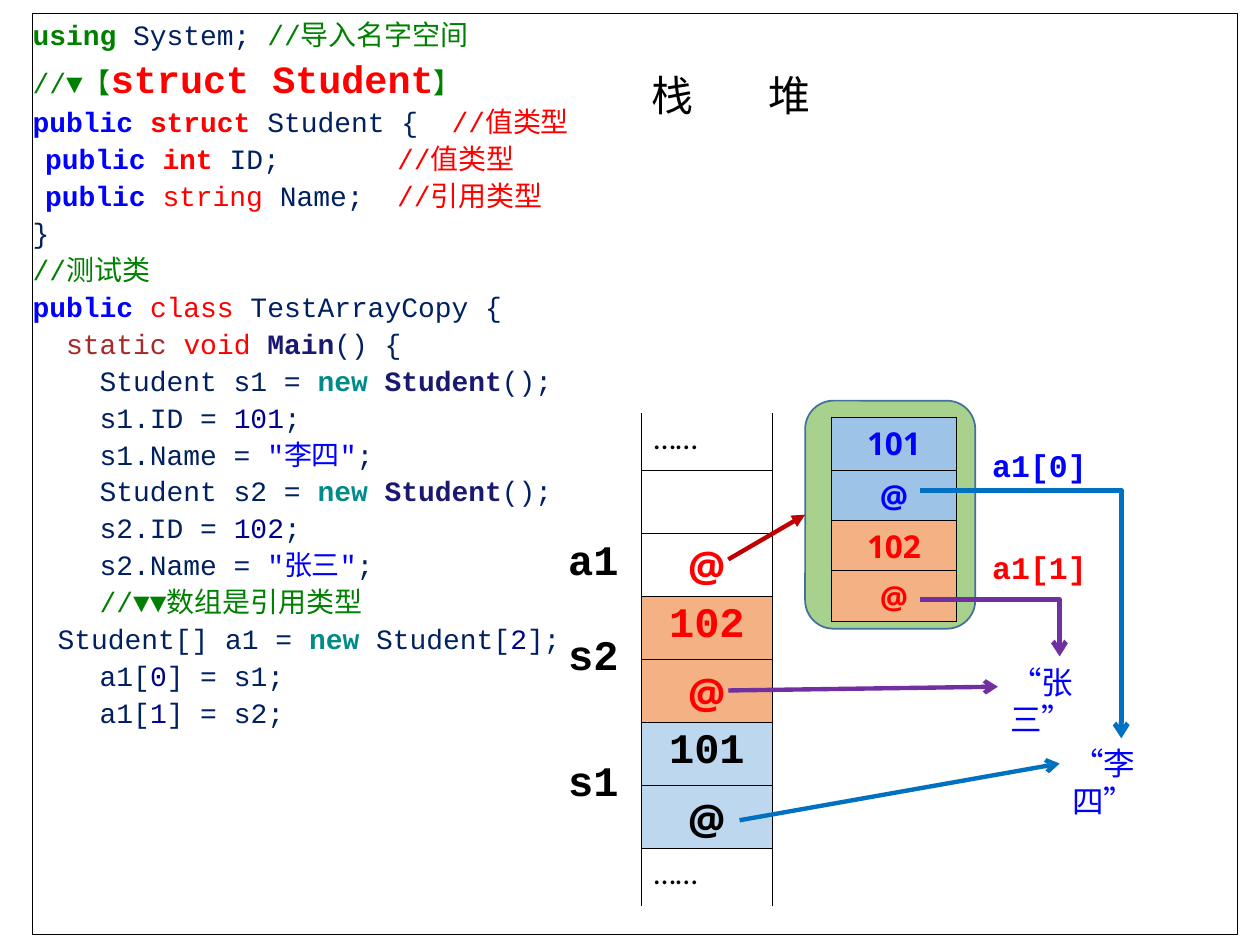
from copy import deepcopy
from dataclasses import dataclass, field

from lxml import etree
from pptx import Presentation
from pptx.dml.color import RGBColor
from pptx.enum import shapes, text
from pptx.oxml import ns
from pptx.util import Inches, Pt


@dataclass(frozen=True)
class Theme:
    mono: str = "Courier New"
    sans: str = "Open Sans"
    body: str = "Calibri"
    cjk: str = "Noto Sans CJK SC"
    code: int = 16
    small: int = 18
    banner: int = 22
    large: int = 24
    black: str = "000000"
    red: str = "FF0000"
    blue: str = "0000FF"
    orange_fill: str = "F4B183"
    stack_fill: str = "BDD7EE"
    heap_fill: str = "9DC3E6"
    frame_fill: str = "A9D18E"
    frame_line: str = "41719C"
    blue_arrow: str = "0070C0"
    purple_arrow: str = "7030A0"
    red_arrow: str = "C00000"
    syntax: dict = field(default_factory=lambda: {
        "plain": ("002060", False), "using": ("008000", True),
        "comment": ("008000", False), "banner": ("FF0000", True),
        "keyword": ("0000FF", True), "type": ("FF0000", True),
        "red": ("FF0000", False), "static": ("A52A2A", False),
        "name": ("191970", True), "new": ("008B8B", True),
        "number": ("00008B", False), "string": ("0000FF", False)})


THEME = Theme()


def create_student(variable, number, name):
    return [
        [(f"    Student {variable} = ", "plain"), ("new ", "new"),
         ("Student", "name"), ("();", "plain")],
        [(f"    {variable}.ID = ", "plain"), (number, "number"), (";", "plain")],
        [(f"    {variable}.Name = ", "plain"), (f'"{name}"', "string"), (";", "plain")],
    ]


def assign_element(index, variable):
    return [("    a1[", "plain"), (index, "number"), (f"] = {variable};", "plain")]


CODE = [
    [("using", "using"), (" System; ", "plain"), ("//导入名字空间", "comment")],
    [("//▼【", "comment"), ("struct Student", "banner"), ("】", "comment")],
    [("public ", "keyword"), ("struct", "type"), (" Student {  ", "plain"),
     ("//值类型", "red")],
    [("  ", "red"), ("public ", "keyword"), ("int", "type"),
     (" ID;       ", "plain"), ("//值类型", "red")],
    [("  ", "red"), ("public ", "keyword"), ("string", "red"),
     (" Name;  ", "plain"), ("//引用类型", "red")],
    [("}", "plain")],
    [("//测试类", "comment")],
    [("public ", "keyword"), ("class", "red"), (" TestArrayCopy {", "plain")],
    [("  ", "plain"), ("static ", "static"), ("void ", "red"), ("Main", "name"),
     ("() {", "plain")],
    *create_student("s1", "101", "李四"),
    *create_student("s2", "102", "张三"),
    [("    ", "plain"), ("//▼▼数组是引用类型", "comment")],
    [("    ", "comment"), ("Student[] a1 = ", "plain"), ("new", "new"),
     (" Student[", "plain"), ("2", "number"), ("];", "plain")],
    assign_element("0", "s1"),
    assign_element("1", "s2"),
]


def rgb(value):
    return RGBColor.from_string(value)


def write(paragraph, content, size=THEME.small, font=THEME.body,
          color=THEME.black, bold=False):
    run = paragraph.add_run()
    run.text = content
    run.font.size, run.font.name, run.font.bold = Pt(size), font, bold
    run.font.color.rgb = rgb(color)
    etree.SubElement(run._r.rPr, ns.qn("a:ea"), typeface=THEME.cjk)
    return run


def add_panel(slide, kind, box, line, width, fill=None):
    panel = slide.shapes.add_shape(kind, *map(Inches, box))
    panel.shadow.inherit = False
    panel.line.color.rgb, panel.line.width = rgb(line), Pt(width)
    if fill:
        panel.fill.solid()
        panel.fill.fore_color.rgb = rgb(fill)
    else:
        panel.fill.background()
    return panel


def add_code(slide):
    panel = add_panel(slide, shapes.MSO_SHAPE.RECTANGLE,
                      (0.26, 0.11, 9.56, 7.31), THEME.black, 0.75)
    frame = panel.text_frame
    frame.margin_left = frame.margin_right = frame.margin_top = frame.margin_bottom = 0
    frame.vertical_anchor = text.MSO_ANCHOR.TOP
    listing = frame.paragraphs[0]
    listing.alignment, listing.line_spacing = text.PP_ALIGN.LEFT, 1.1
    for number, line in enumerate(CODE):
        if number:
            listing.add_line_break()
            listing._p[-1].append(deepcopy(last._r.rPr))
        for token, role in line:
            color, bold = THEME.syntax[role]
            size = THEME.banner if role == "banner" else THEME.code
            last = write(listing, token, size=size, font=THEME.mono,
                         color=color, bold=bold)


def add_label(slide, box, content, tab=None, **style):
    label = slide.shapes.add_textbox(*map(Inches, box))
    label.text_frame.word_wrap = True
    paragraph = label.text_frame.paragraphs[0]
    if tab:
        stops = etree.SubElement(paragraph._p.get_or_add_pPr(), ns.qn("a:tabLst"))
        etree.SubElement(stops, ns.qn("a:tab"), pos=str(Inches(tab)), algn="l")
    write(paragraph, content, **style)
    return label


def add_grid(slide, left, top, widths, heights):
    grid = slide.shapes.add_table(
        len(heights), len(widths), Inches(left), Inches(top),
        Inches(sum(widths)), Inches(sum(heights))).table
    grid.first_row = grid.horz_banding = False
    for column, width in zip(grid.columns, widths):
        column.width = Inches(width)
    for row, height in zip(grid.rows, heights):
        row.height = Inches(height)
    return grid


def fill_cell(cell, content="", sides="", fill=None, centered=True, middle=False, **style):
    properties = cell._tc.get_or_add_tcPr()
    for side in "LRTB":
        border = etree.SubElement(properties, ns.qn(f"a:ln{side}"), w=str(Pt(0.45)))
        if side in sides:
            paint = etree.SubElement(border, ns.qn("a:solidFill"))
            etree.SubElement(paint, ns.qn("a:srgbClr"), val=THEME.black)
        else:
            etree.SubElement(border, ns.qn("a:noFill"))
    if fill:
        cell.fill.solid()
        cell.fill.fore_color.rgb = rgb(fill)
    else:
        cell.fill.background()
    if middle:
        cell.vertical_anchor = text.MSO_ANCHOR.MIDDLE
    if style.get("font") == THEME.sans:
        cell.margin_top, cell.margin_bottom = Inches(0.04), 0
    if content:
        paragraph = cell.text_frame.paragraphs[0]
        if centered:
            paragraph.alignment = text.PP_ALIGN.CENTER
        write(paragraph, content, **style)


def add_stack(slide):
    grid = add_grid(slide, 4.33, 3.28, (0.76, 1.04), [0.45] + [0.5] * 6 + [0.46])
    strong = dict(size=THEME.large, bold=True)
    slots = [("", None, THEME.black, THEME.mono), ("@", None, THEME.red, THEME.sans),
             ("102", THEME.orange_fill, THEME.red, THEME.mono),
             ("@", THEME.orange_fill, THEME.red, THEME.sans),
             ("101", THEME.stack_fill, THEME.black, THEME.mono),
             ("@", THEME.stack_fill, THEME.black, THEME.sans)]
    for row, (content, fill, color, font) in enumerate(slots, 1):
        fill_cell(grid.cell(row, 1), content, "LRTB", fill, color=color, font=font, **strong)
    for row, sides in ((0, "LRB"), (7, "LRT")):
        fill_cell(grid.cell(row, 1), "……", sides, centered=False)
    names = {2: "a1", 3: "s2", 5: "s1"}
    for row in range(8):
        fill_cell(grid.cell(row, 0), names.get(row, ""), "R", middle=True,
                  font=THEME.mono, **strong)
    for row in (3, 5):
        grid.cell(row, 0).merge(grid.cell(row + 1, 0))


def add_heap(slide):
    grid = add_grid(slide, 6.6, 3.31, (0.99, 1.32), (0.42, 0.4, 0.4, 0.4))
    elements = [("101", "a1[0]", THEME.heap_fill, THEME.blue),
                ("102", "a1[1]", THEME.orange_fill, THEME.red)]
    for index, (number, name, fill, color) in enumerate(elements):
        for row, content, label in ((2 * index, number, name), (2 * index + 1, "@", "")):
            fill_cell(grid.cell(row, 0), content, "LRTB", fill,
                      font=THEME.sans, color=color, bold=True)
            fill_cell(grid.cell(row, 1), label, "L", middle=True,
                      font=THEME.mono, color=color, bold=True)
        grid.cell(2 * index, 1).merge(grid.cell(2 * index + 1, 1))


def add_arrow(slide, start, end, color, width=2.5, head="arrow", bent=False, target=None):
    kind = shapes.MSO_CONNECTOR.ELBOW if bent else shapes.MSO_CONNECTOR.STRAIGHT
    arrow = slide.shapes.add_connector(kind, *map(Inches, start + end))
    arrow.line.color.rgb, arrow.line.width = rgb(color), Pt(width)
    etree.SubElement(arrow.line._get_or_add_ln(), ns.qn("a:tailEnd"), type=head)
    etree.SubElement(arrow._element.spPr, ns.qn("a:effectLst"))
    if bent:
        guides = arrow._element.spPr.find(".//" + ns.qn("a:avLst"))
        etree.SubElement(guides, ns.qn("a:gd"), name="adj1", fmla="val 99900")
    if target is not None:
        arrow.end_connect(target, 1)


def main():
    deck = Presentation()
    deck.slide_width, deck.slide_height = Inches(10), Inches(7.5)
    slide = deck.slides.add_slide(deck.slide_layouts[6])
    add_code(slide)
    add_label(slide, (5.07, 0.5, 3.03, 0.5), "栈\t堆", tab=0.93,
              size=THEME.large, font=THEME.cjk)
    add_stack(slide)
    li_si = add_label(slide, (8.41, 5.86, 0.98, 0.4), "“李四”", color=THEME.blue)
    add_label(slide, (7.92, 5.21, 0.98, 0.4), "“张三”", color=THEME.blue)
    add_arrow(slide, (5.87, 6.51), (8.41, 6.06), THEME.blue_arrow, target=li_si)
    add_arrow(slide, (5.78, 5.48), (7.92, 5.45), THEME.purple_arrow)
    heap = add_panel(slide, shapes.MSO_SHAPE.ROUNDED_RECTANGLE, (6.39, 3.18, 1.35, 1.81),
                     THEME.frame_line, 1, THEME.frame_fill)
    add_heap(slide)
    add_arrow(slide, (7.3, 3.89), (8.9, 5.86), THEME.blue_arrow, 2.75, bent=True)
    add_arrow(slide, (7.3, 4.76), (8.41, 5.21), THEME.purple_arrow, 2.75, bent=True)
    add_arrow(slide, (5.78, 4.44), (6.39, 4.08), THEME.red_arrow, head="triangle", target=heap)
    deck.save("out.pptx")


if __name__ == "__main__":
    main()
